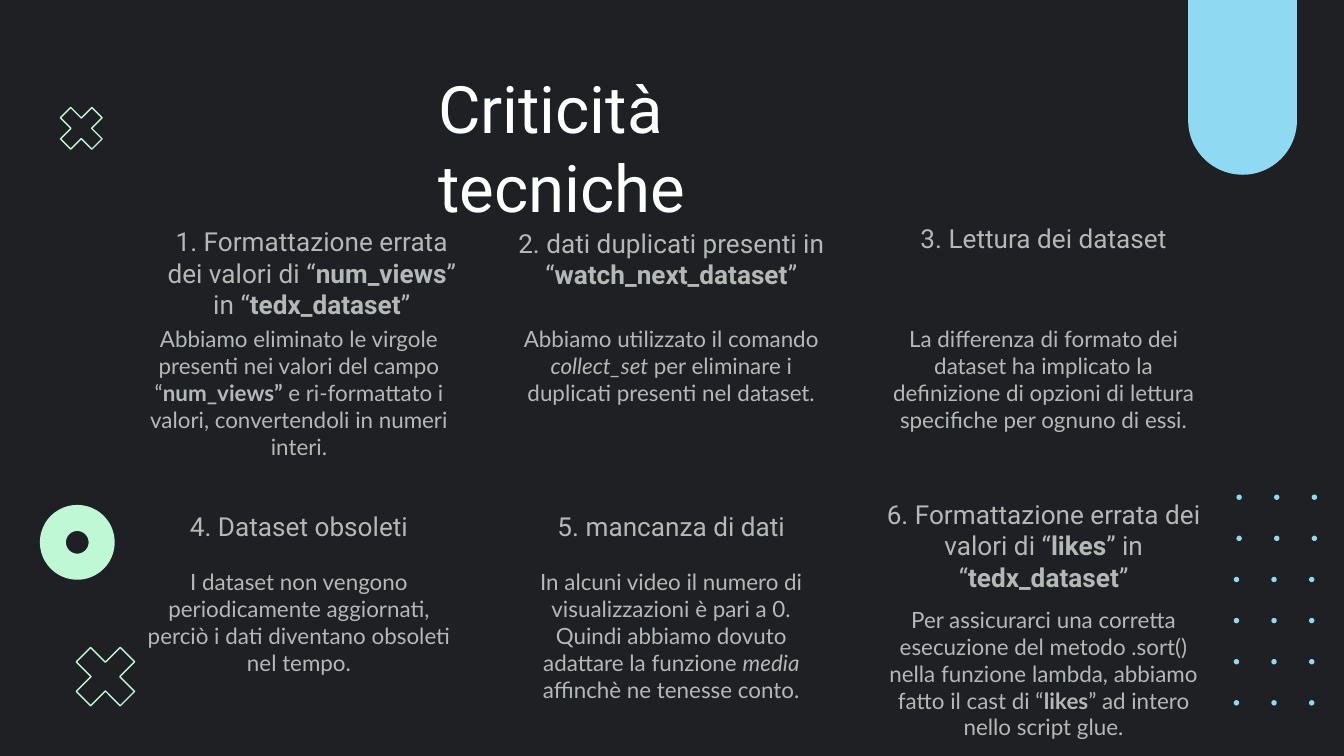
"""Build the slide listing six technical issues, with *emphasised* words between asterisks."""
from itertools import product

from pptx import Presentation
from pptx.dml.color import RGBColor
from pptx.enum.shapes import MSO_SHAPE
from pptx.enum.text import MSO_ANCHOR, MSO_AUTO_SIZE, PP_ALIGN
from pptx.util import Inches, Pt

DARK = RGBColor(0x1F, 0x20, 0x24)
WHITE = RGBColor(0xFF, 0xFF, 0xFF)
GRAY = RGBColor(0xB7, 0xB7, 0xB7)
BLUE = RGBColor(0x90, 0xD9, 0xF3)
GREEN = RGBColor(0x30, 0xE2, 0x77)
MINT = RGBColor(0xBE, 0xF8, 0xD5)

SLIDE_WIDTH = Inches(10)
SLIDE_HEIGHT = SLIDE_WIDTH * 9 // 16

TITLE = "Criticità tecniche"
TITLE_BOX = (3.16, 0.41, 3.68, 0.63)
TITLE_FONT = {"size": Pt(35), "name": "Roboto", "bold": False}
HEADING_FONT = {"size": Pt(14), "name": "Roboto"}
BODY_FONT = {"size": Pt(12), "name": "Lato"}
COLUMN_LEFT, COLUMN_STEP, COLUMN_WIDTH = 0.95, 2.77, 2.55

ISSUES = [
    {"heading": "1. Formattazione errata dei valori di “*num_views*” in “*tedx_dataset*”",
     "heading_rows": (1.46, 1.02), "shift": -0.31, "indent": 0.5,
     "body": ["Abbiamo eliminato le virgole presenti nei valori del campo “*num_views” *"
              "e ri-formattato i valori, convertendoli in numeri interi."],
     "body_rows": (2.32, 1.11), "emphasis": "bold"},
    {"heading": "2. dati duplicati presenti in “*watch_next_dataset*”",
     "heading_rows": (1.46, 0.8),
     "body": ["Abbiamo utilizzato il comando *collect_set *"
              "per eliminare i duplicati presenti nel dataset."],
     "body_rows": (2.32, 0.95), "emphasis": "italic"},
    {"heading": "3. Lettura dei dataset", "heading_rows": (1.46, 0.53),
     "body": ["La differenza di formato dei dataset ha implicato la definizione "
              "di opzioni di lettura specifiche per ognuno di essi."],
     "body_rows": (2.32, 1.11)},
    {"heading": "4. Dataset obsoleti", "heading_rows": (3.27, 0.86),
     "body": ["I dataset non vengono periodicamente aggiornati, "
              "perciò i dati diventano obsoleti nel tempo."],
     "body_rows": (4.13, 0.53)},
    {"heading": "5. mancanza di dati", "heading_rows": (3.27, 0.86),
     "body": ["In alcuni video il numero di visualizzazioni è pari a 0.",
              "Quindi abbiamo dovuto adattare la funzione *media* affinchè ne tenesse conto."],
     "body_rows": (4.13, 0.53), "emphasis": "italic"},
    {"heading": "6. Formattazione errata dei valori di “*likes*” in “*tedx_dataset*”",
     "heading_rows": (3.71, 0.8),
     "body": ["Per assicurarci una corretta esecuzione del metodo .sort() nella funzione "
              "lambda, abbiamo fatto il cast di “*likes*” ad intero nello script glue."],
     "body_rows": (4.41, 1.02), "emphasis": "bold"},
]

DECORATIONS = [
    {"kind": MSO_SHAPE.ROUND_2_SAME_RECTANGLE, "box": (8.84, 0, 0.81, 1.3),
     "adjustments": (0.5, 0), "fill": BLUE, "rotation": 180},
    {"kind": MSO_SHAPE.DONUT, "box": (0.38, 3.84, 0.39, 0.39),
     "adjustments": (0.07,), "fill": GREEN, "line": (MINT, 12)},
    {"kind": MSO_SHAPE.MATH_MULTIPLY, "box": (0.47, 4.72, 0.63, 0.63),
     "adjustments": (0.24,), "line": (MINT, 0.75)},
    {"kind": MSO_SHAPE.MATH_MULTIPLY, "box": (0.38, 0.73, 0.45, 0.45),
     "adjustments": (0.24,), "line": (MINT, 0.75)},
]
DOT_LEFT, DOT_TOP, DOT_BOTTOM, DOT_SIZE = 9.18, 3.68, 5.21, 0.04
DOT_COLUMNS, DOT_ROWS, SHIFTED_ROWS, DOT_SHIFT = 3, 6, 2, 0.02
DOT_COLUMN_STEP = 0.28
DOT_ROW_STEP = (DOT_BOTTOM - DOT_TOP) / (DOT_ROWS - 1)


def set_attributes(target, values):
    for name, value in values.items():
        setattr(target, name, value)


def add_decoration(shapes, kind, box, adjustments=(), fill=None, line=None, rotation=0):
    shape = shapes.add_shape(kind, *map(Inches, box))
    shape.shadow.inherit = False
    shape.rotation = rotation
    for index, value in enumerate(adjustments):
        shape.adjustments[index] = value
    if fill is None:
        shape.fill.background()
    else:
        shape.fill.solid()
        shape.fill.fore_color.rgb = fill
    if line is None:
        shape.line.fill.background()
    else:
        shape.line.color.rgb, shape.line.width = line[0], Pt(line[1])


def format_frame(shape, anchor):
    margins = {f"margin_{side}": Inches(0.1) for side in ("left", "right", "top", "bottom")}
    set_attributes(shape.text_frame, {"word_wrap": True, "auto_size": MSO_AUTO_SIZE.NONE,
                                      "vertical_anchor": anchor, **margins})


def add_text(slide, box, paragraphs, font, anchor, emphasis="bold", indent=0):
    shape = slide.shapes.add_textbox(*map(Inches, box))
    format_frame(shape, anchor)
    frame = shape.text_frame
    for number, text in enumerate(paragraphs):
        paragraph = frame.add_paragraph() if number else frame.paragraphs[0]
        paragraph.alignment = PP_ALIGN.CENTER
        if indent:
            paragraph._p.get_or_add_pPr().set("marL", str(Inches(indent)))
        for position, part in enumerate(text.split("*")):
            if part:
                run = paragraph.add_run()
                run.text = part
                set_attributes(run.font, font)
                run.font.color.rgb = GRAY
                if position % 2:
                    setattr(run.font, emphasis, True)


def add_title(slide):
    title = slide.shapes.title
    set_attributes(title, dict(zip(("left", "top", "width", "height"), map(Inches, TITLE_BOX))))
    format_frame(title, MSO_ANCHOR.TOP)
    title.text_frame.text = TITLE
    paragraph = title.text_frame.paragraphs[0]
    set_attributes(paragraph, {"alignment": PP_ALIGN.LEFT, "line_spacing": 1.0,
                               "space_before": Pt(0)})
    font = paragraph.runs[0].font
    set_attributes(font, TITLE_FONT)
    font.color.rgb = WHITE


def add_issue(slide, index, issue):
    left = COLUMN_LEFT + index % 3 * COLUMN_STEP
    shift = issue.get("shift", 0)
    top, height = issue["heading_rows"]
    add_text(slide, (left + shift, top, COLUMN_WIDTH + abs(shift), height), [issue["heading"]],
             HEADING_FONT, MSO_ANCHOR.BOTTOM, indent=issue.get("indent", 0))
    top, height = issue["body_rows"]
    add_text(slide, (left, top, COLUMN_WIDTH, height), issue["body"],
             BODY_FONT, MSO_ANCHOR.TOP, issue.get("emphasis", "bold"))


def add_dots(slide):
    group = slide.shapes.add_group_shape()
    for row, column in product(range(DOT_ROWS), range(DOT_COLUMNS)):
        left = DOT_LEFT + column * DOT_COLUMN_STEP + (DOT_SHIFT if row < SHIFTED_ROWS else 0)
        box = (left, DOT_TOP + row * DOT_ROW_STEP, DOT_SIZE, DOT_SIZE)
        add_decoration(group.shapes, MSO_SHAPE.OVAL, box, fill=BLUE)


def main():
    presentation = Presentation()
    set_attributes(presentation, {"slide_width": SLIDE_WIDTH, "slide_height": SLIDE_HEIGHT})
    slide = presentation.slides.add_slide(presentation.slide_layouts[5])
    slide.background.fill.solid()
    slide.background.fill.fore_color.rgb = DARK
    for decoration in DECORATIONS:
        add_decoration(slide.shapes, **decoration)
    add_title(slide)
    for index, issue in enumerate(ISSUES):
        add_issue(slide, index, issue)
    add_dots(slide)
    presentation.save("out.pptx")


if __name__ == "__main__":
    main()
